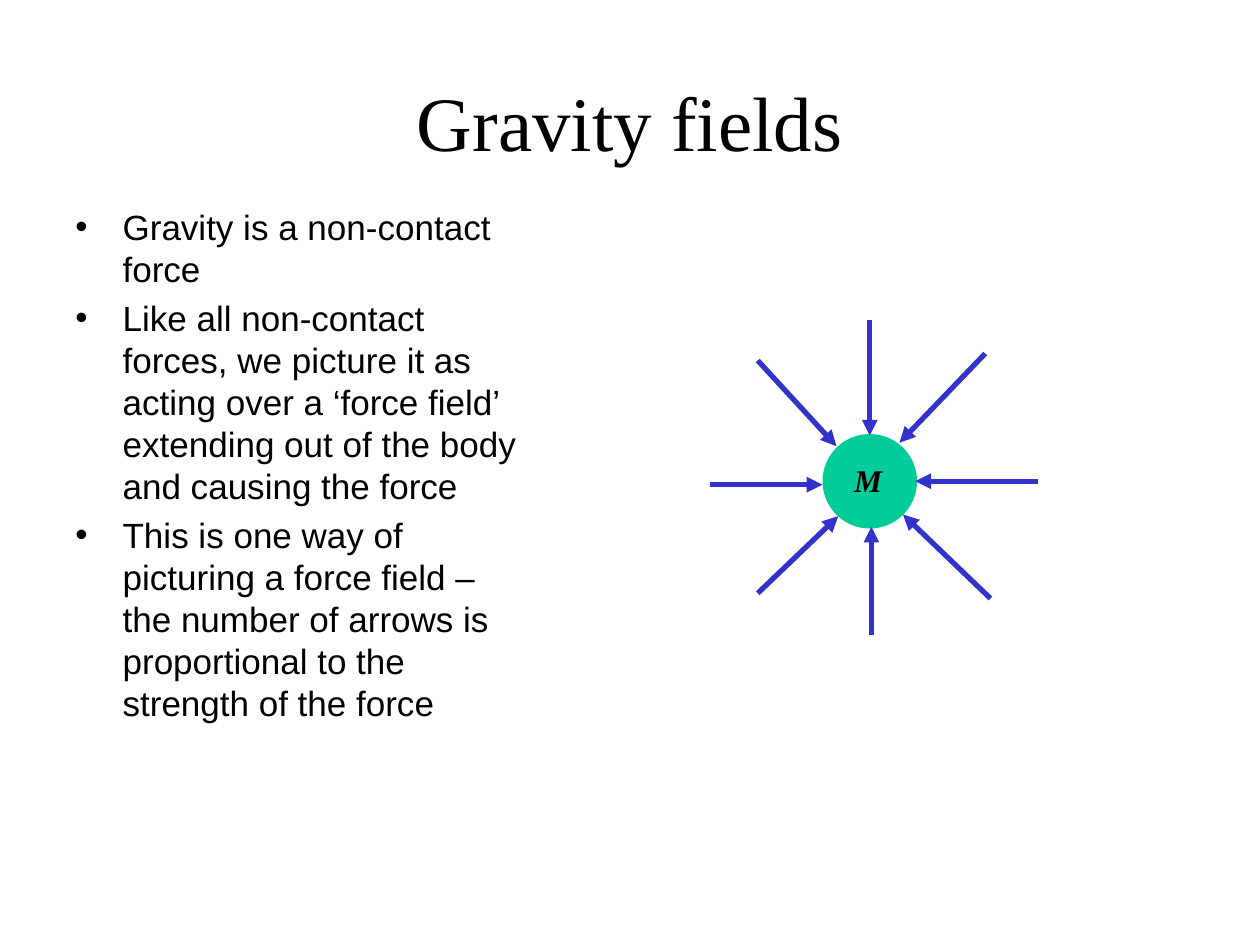
"""Build a slide on gravity fields with bullets and a radial field diagram."""
from lxml import etree
from pptx import Presentation
from pptx.dml.color import RGBColor
from pptx.enum.shapes import MSO_CONNECTOR, MSO_SHAPE
from pptx.enum.text import MSO_ANCHOR, PP_ALIGN
from pptx.oxml.ns import qn
from pptx.util import Pt

STRAIGHT = MSO_CONNECTOR.STRAIGHT
OVAL = MSO_SHAPE.OVAL
TOP, MIDDLE = MSO_ANCHOR.TOP, MSO_ANCHOR.MIDDLE
LEFT, CENTER = PP_ALIGN.LEFT, PP_ALIGN.CENTER


def color(value):
    return RGBColor.from_string(value)


def add_text(text, bounds, size, font, align=CENTER, anchor=TOP, wrap=True,
             bold=False, italic=False, bullet=None, indent=27, gap=4):
    box = page.shapes.add_textbox(*map(Pt, bounds))
    frame = box.text_frame
    frame.word_wrap = wrap
    frame.vertical_anchor = anchor
    for index, line in enumerate(text.split("\n")):
        para = frame.paragraphs[0] if index == 0 else frame.add_paragraph()
        para.alignment = align
        para.space_before = Pt(gap if index else 0)
        if bullet:
            properties = para._p.get_or_add_pPr()
            properties.set("marL", str(Pt(indent)))
            properties.set("indent", str(-Pt(indent)))
            etree.SubElement(properties, qn("a:buFont"), typeface="Arial")
            etree.SubElement(properties, qn("a:buChar"), char=bullet)
        span = para.add_run()
        span.text = line
        span.font.name = font
        span.font.size = Pt(size)
        span.font.bold = bold
        span.font.italic = italic
        span.font.color.rgb = color("000000")


deck = Presentation()
deck.slide_width, deck.slide_height = Pt(720), Pt(540)
page = deck.slides.add_slide(deck.slide_layouts[6])

add_text("Gravity fields", (54, 24, 612, 90), 44, "Times New Roman", anchor=MIDDLE)

points = [
    "Gravity is a non-contact force",
    "Like all non-contact forces, we picture it as acting over a ‘force field’ "
    "extending out of the body and causing the force",
    "This is one way of picturing a force field – the number of arrows is "
    "proportional to the strength of the force",
]
add_text("\n".join(points), (36, 114, 268, 324), 20, "Arial", align=LEFT, bullet="•")

mass = page.shapes.add_shape(OVAL, Pt(470), Pt(248), Pt(54), Pt(54))
mass.shadow.inherit = False
mass.fill.solid()
mass.fill.fore_color.rgb = color("00CC99")
mass.line.fill.background()

field_arrows = [
    (433, 206, 478, 255),
    (566, 342, 516, 294),
    (433, 339, 479, 295),
    (563, 202, 514, 253),
    (497, 183, 497, 249),
    (498, 363, 498, 301),
    (406, 277, 470, 277),
    (593, 275, 523, 275),
]
for ends in field_arrows:
    arrow = page.shapes.add_connector(STRAIGHT, *map(Pt, ends))
    arrow.line.color.rgb = color("3333CC")
    arrow.line.width = Pt(3)
    etree.SubElement(arrow.line._get_or_add_ln(), qn("a:tailEnd"), type="triangle")
    etree.SubElement(arrow._element.spPr, qn("a:effectLst"))

add_text("M", (481, 260, 30, 29), 18, "Times New Roman", wrap=False, bold=True, italic=True)

deck.save("out.pptx")
